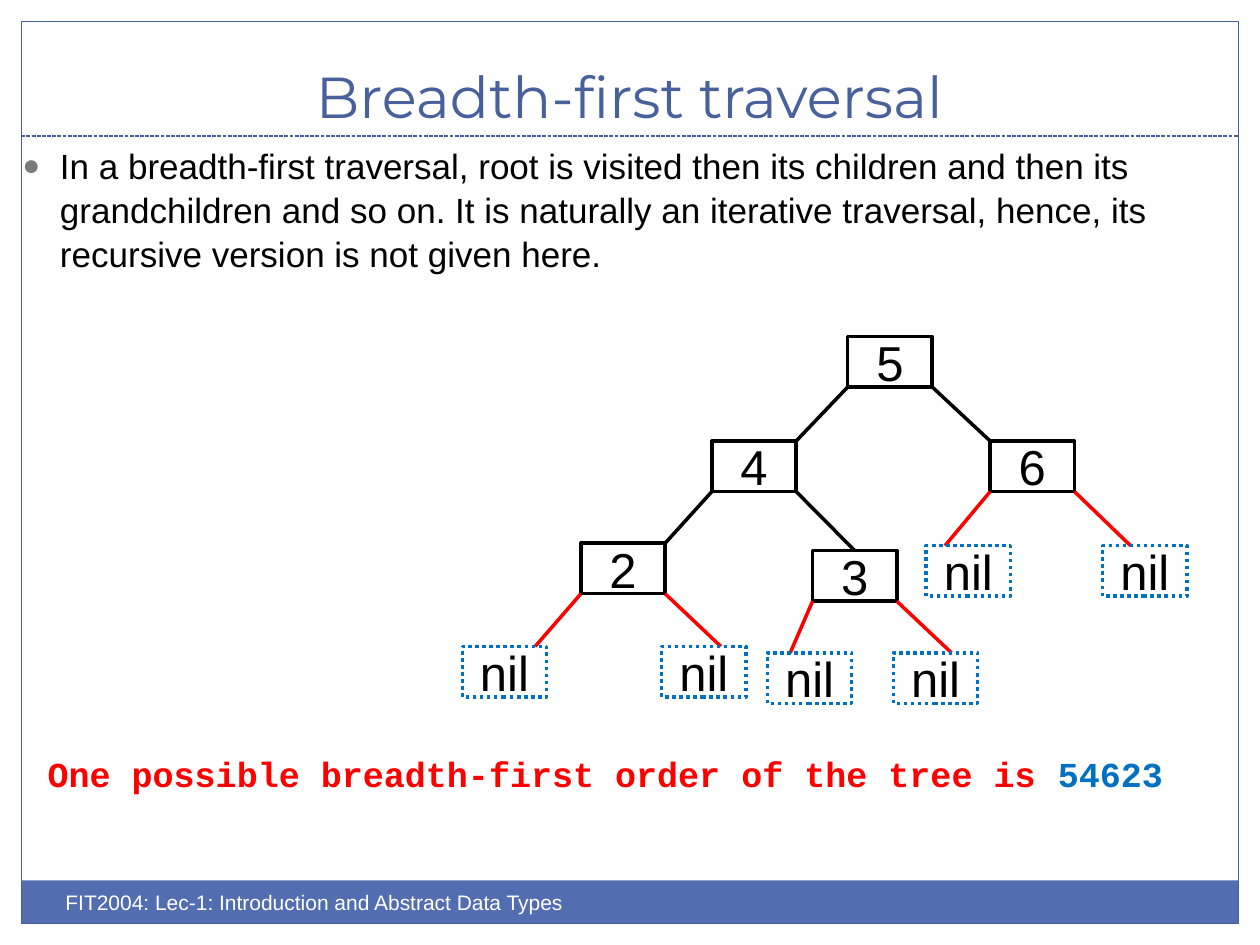
from dataclasses import dataclass
from typing import Optional

from lxml import etree
from pptx import Presentation
from pptx.dml.color import RGBColor
from pptx.enum.dml import MSO_LINE
from pptx.enum.shapes import MSO_CONNECTOR, MSO_SHAPE
from pptx.enum.text import MSO_ANCHOR, MSO_AUTO_SIZE, PP_ALIGN
from pptx.oxml.ns import qn
from pptx.util import Cm, Pt

RECT = MSO_SHAPE.RECTANGLE
LINE = MSO_CONNECTOR.STRAIGHT
DOT = MSO_LINE.ROUND_DOT
DASH = MSO_LINE.SQUARE_DOT
CENTER = PP_ALIGN.CENTER
MIDDLE = MSO_ANCHOR.MIDDLE
BOTTOM = MSO_ANCHOR.BOTTOM
NO_FIT = MSO_AUTO_SIZE.NONE

BLACK, WHITE, RED, BLUE = "000000", "FFFFFF", "FF0000", "0070C0"
NAVY, BAR, GRAY = "48609B", "526DB0", "7A7A7A"
NODE_W, NODE_H = 1.7, 1.02
LEFT, WIDTH = 0.43, 24.54


@dataclass
class Run:
    text: str
    size: float
    color: str
    font: str = "Arial"
    bold: bool = False


@dataclass
class Node:
    """A tree node; tip is where its edge lands along the top side."""
    text: str
    x: float
    y: float
    tip: float = 0
    left: Optional["Node"] = None
    right: Optional["Node"] = None


def nil(x: float, y: float, tip: float) -> Node:
    return Node("nil", x, y, tip)


TREE = Node(
    "5", 17.09, 6.78,
    left=Node(
        "4", 14.35, 8.89, NODE_W,
        left=Node("2", 11.71, 10.95, NODE_W,
                  nil(9.32, 13.03, 1.47), nil(13.34, 13.03, 1.19)),
        right=Node("3", 16.38, 11.1, NODE_W / 2,
                   nil(15.47, 13.16, 0.46), nil(18.01, 13.16, 1.17))),
    right=Node("6", 19.96, 8.89, 0,
               nil(18.67, 11, 0.38), nil(22.23, 11, 0.56)))


def paint(color: str) -> RGBColor:
    return RGBColor.from_string(color)


def stroke(line, color: str, width: float, dash=None) -> None:
    line.color.rgb = paint(color)
    line.width = Pt(width)
    if dash is not None:
        line.dash_style = dash


def write(para, *runs: Run) -> None:
    for item in runs:
        run = para.add_run()
        run.text = item.text
        font = run.font
        font.name, font.size, font.bold = item.font, Pt(item.size), item.bold
        font.color.rgb = paint(item.color)


def add_box(shapes, x: float, y: float, w: float, h: float):
    """Add a rectangle with neither fill, line nor shadow."""
    box = shapes.add_shape(RECT, Cm(x), Cm(y), Cm(w), Cm(h))
    box.shadow.inherit = False
    box.fill.background()
    box.line.fill.background()
    return box


def add_line(shapes, x1: float, y1: float, x2: float, y2: float,
             color: str, width: float, dash=None) -> None:
    line = shapes.add_connector(LINE, Cm(x1), Cm(y1), Cm(x2), Cm(y2))
    stroke(line.line, color, width, dash)
    etree.SubElement(line._element.spPr, qn("a:effectLst"))


def add_text(shapes, x: float, y: float, w: float, h: float, *runs: Run):
    """Add a wrapped text box and return its paragraph."""
    frame = shapes.add_textbox(Cm(x), Cm(y), Cm(w), Cm(h)).text_frame
    frame.word_wrap = True
    para = frame.paragraphs[0]
    write(para, *runs)
    return para


def add_bullet(para, char: str, color: str, size: int, indent: float) -> None:
    props = para._p.get_or_add_pPr()
    props.set("marL", str(Cm(indent)))
    props.set("indent", str(-Cm(indent)))
    tint = etree.SubElement(props, qn("a:buClr"))
    etree.SubElement(tint, qn("a:srgbClr"), val=color)
    etree.SubElement(props, qn("a:buSzPct"), val=str(size * 1000))
    etree.SubElement(props, qn("a:buFont"), typeface="Arial")
    etree.SubElement(props, qn("a:buChar"), char=char)


def add_tree(shapes, node: Node) -> None:
    """Draw a node, then its edges and subtrees."""
    empty = node.text == "nil"
    box = add_box(shapes, node.x, node.y, NODE_W, NODE_H)
    stroke(box.line, BLUE if empty else BLACK, 2, DOT if empty else None)
    frame = box.text_frame
    frame.vertical_anchor = MIDDLE
    para = frame.paragraphs[0]
    para.alignment = CENTER
    write(para, Run(node.text, 28, BLACK))
    for child, start in ((node.left, node.x), (node.right, node.x + NODE_W)):
        if child:
            color = RED if child.text == "nil" else BLACK
            add_line(shapes, start, node.y + NODE_H,
                     child.x + child.tip, child.y, color, 2)
            add_tree(shapes, child)


def set_title(title, text: str) -> None:
    title.left, title.top = Cm(0.84), Cm(0.64)
    title.width, title.height = Cm(23.7), Cm(2.11)
    frame = title.text_frame
    frame.auto_size = NO_FIT
    frame.vertical_anchor = BOTTOM
    para = frame.paragraphs[0]
    para.alignment = CENTER
    write(para, Run(text, 33, NAVY, "Montserrat"))


def main() -> None:
    deck = Presentation()
    deck.slide_width, deck.slide_height = Cm(25.4), Cm(19.05)
    slide = deck.slides.add_slide(deck.slide_layouts[5])
    shapes = slide.shapes
    set_title(shapes.title, "Breadth-first traversal")

    bar = add_box(shapes, LEFT, 17.75, WIDTH, 0.87)
    bar.fill.solid()
    bar.fill.fore_color.rgb = paint(BAR)
    border = add_box(shapes, LEFT, LEFT, WIDTH, 18.19)
    stroke(border.line, NAVY, 0.75)
    add_line(shapes, LEFT, 2.74, LEFT + WIDTH, 2.74, NAVY, 0.75, DASH)
    add_text(shapes, 1.07, 17.81, 12.7, 1.02,
             Run("FIT2004: Lec-1: Introduction and Abstract Data Types",
                 12, WHITE))

    intro = add_text(
        shapes, 0.2, 2.74, 25.4, 3.61,
        Run("In a breadth-first traversal, root is visited then its children "
            "and then its grandchildren and so on. It is naturally an "
            "iterative traversal, hence, its recursive version is not given "
            "here.", 20, BLACK))
    intro.space_before = Pt(4)
    intro.line_spacing = 1.05
    add_bullet(intro, "●", GRAY, 85, 0.76)

    order = add_text(
        shapes, 0.71, 15.04, 23.42, 1.12,
        Run("One possible breadth-first order of the tree is ",
            20, RED, "Courier New", True),
        Run("54623", 20, BLUE, "Courier New", True))
    order.space_before = Pt(4)

    add_tree(shapes, TREE)
    deck.save("out.pptx")


if __name__ == "__main__":
    main()
